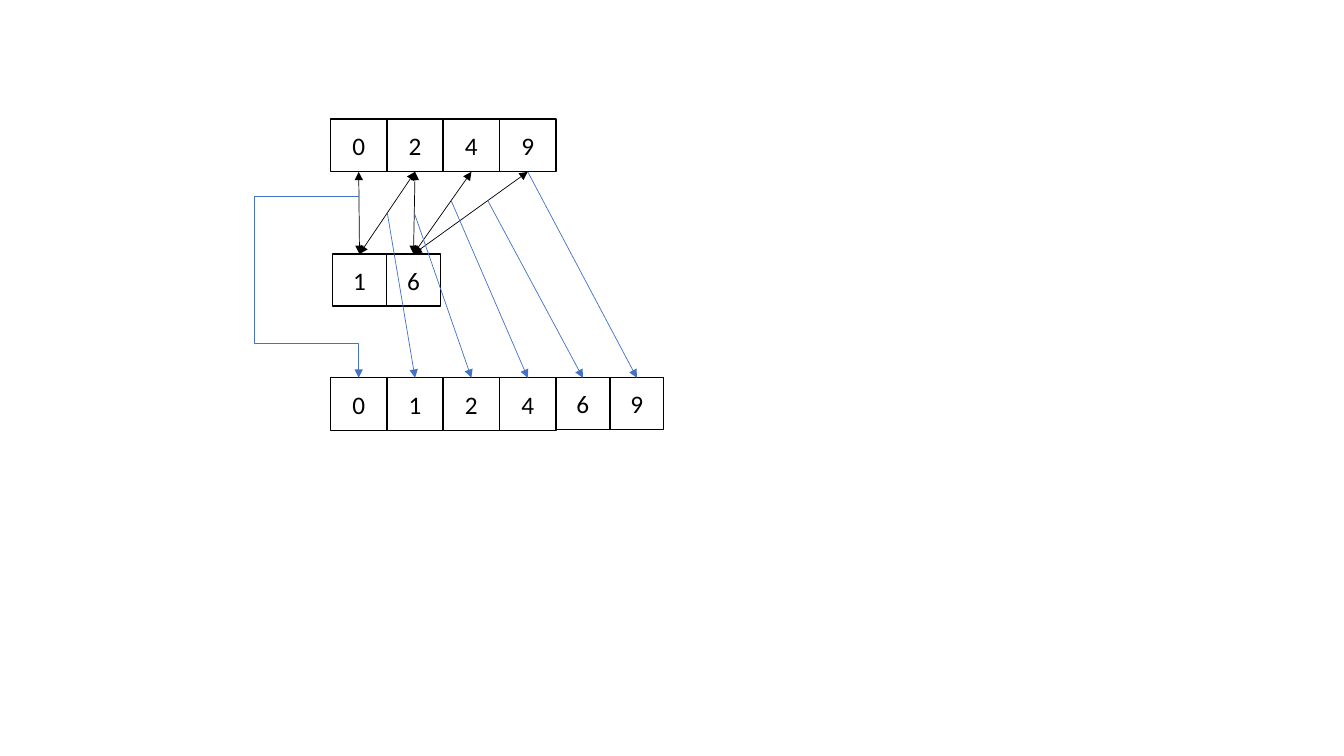
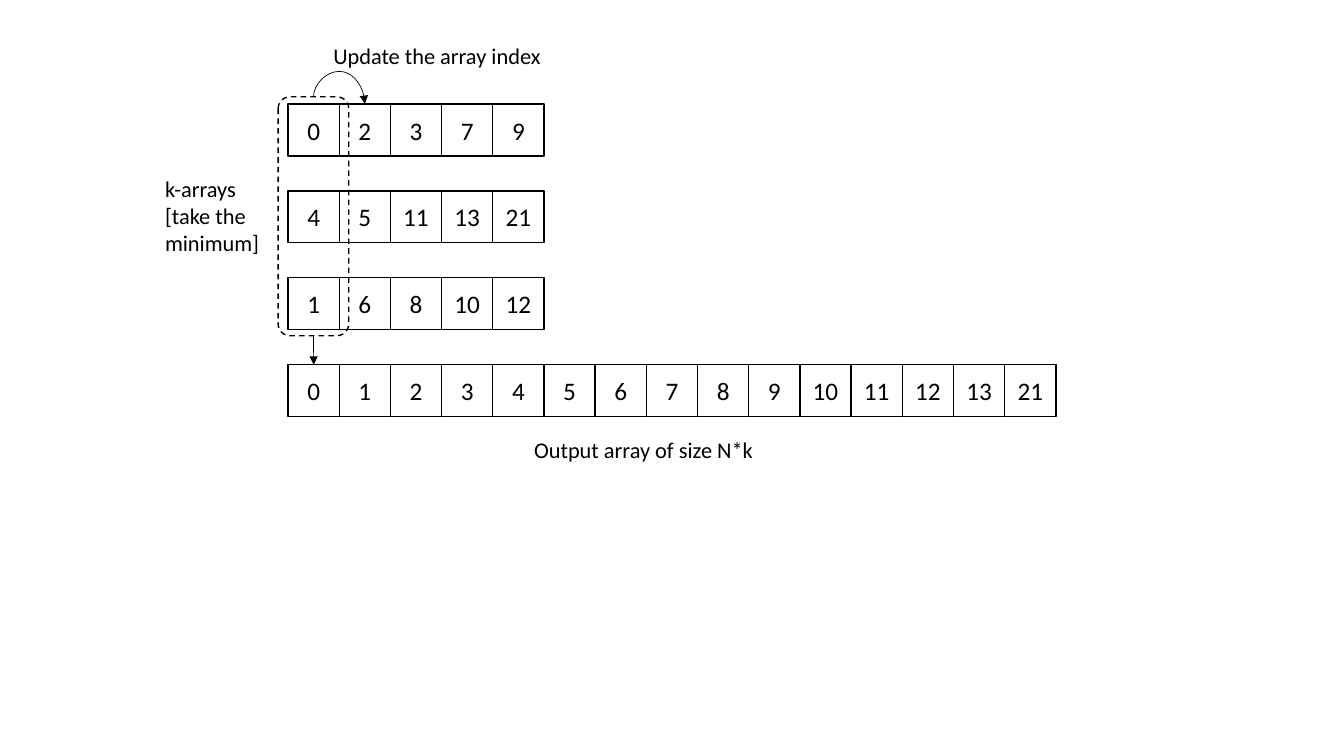
from pptx import Presentation
from pptx.dml.color import RGBColor
from pptx.enum.dml import MSO_LINE
from pptx.enum.shapes import MSO_CONNECTOR, MSO_SHAPE
from pptx.enum.text import MSO_ANCHOR, PP_ALIGN
from pptx.oxml.ns import qn
from pptx.util import Cm, Pt
from lxml.etree import SubElement

BLACK, WHITE, BLUE = "000000", "FFFFFF", "4472C4"
FONT = "Calibri"
TOP, BOTTOM = 0, 2

MERGE_ROWS = {
    "first": (8.33, 3.0, [("0 2 4 9", 1.42, 1.33)]),
    "second": (8.38, 6.4, [("1 6", 1.36, 1.31)]),
    "merged": (8.33, 9.52, [("0 1 2 4", 1.42, 1.33), ("6 9", 1.36, 1.31)]),
}
COMPARISONS = [
    (0, 0, 0.3),
    (1, 0, 0.5),
    (1, 1, 0.5),
    (2, 1, 0.35),
    (3, 1, 0.35),
]
DETOUR_X, DETOUR_DROP = 6.4, 3.71

K_ARRAYS = ["0 2 3 7 9", "4 5 11 13 21", "1 6 8 10 12"]
OUTPUT = "0 1 2 3 4 5 6 7 8 9 10 11 12 13 21"
K_LEFT, K_TOP, K_PITCH = 7.26, 2.62, 2.19
K_CELL = (1.29, 1.31)
MINIMUM_FRAME = (7.01, 2.44, 1.78, 6.02)
INDEX_RISE = 0.64
LABELS = [
    (["k-arrays", "[take the minimum]"], (3.91, 4.29, 3.07, 2.31)),
    (["Update the array index"], (8.15, 0.94, 5.92, 0.94)),
    (["Output array of size N*k"], (13.21, 10.87, 6.1, 0.97)),
]


def rgb(value):
    return RGBColor.from_string(value)


def write(paragraph, text, size):
    run = paragraph.add_run()
    run.text = text
    run.font.name = FONT
    run.font.size = Pt(size)
    run.font.color.rgb = rgb(BLACK)


def outlined(shapes, preset, box):
    shape = shapes.add_shape(preset, *map(Cm, box))
    shape.shadow.inherit = False
    shape.line.color.rgb = rgb(BLACK)
    shape.line.width = Pt(1)
    return shape


def add_row(slide, left, top, segments):
    group = slide.shapes.add_group_shape()
    cells = []
    for values, width, height in segments:
        for value in values.split():
            cell = outlined(group.shapes, MSO_SHAPE.RECTANGLE, (left, top, width, height))
            cell.fill.solid()
            cell.fill.fore_color.rgb = rgb(WHITE)
            cell.text_frame.vertical_anchor = MSO_ANCHOR.MIDDLE
            paragraph = cell.text_frame.paragraphs[0]
            paragraph.alignment = PP_ALIGN.CENTER
            write(paragraph, value, 18)
            cells.append(cell)
            left += width
    return cells


def add_label(slide, lines, box):
    frame = slide.shapes.add_textbox(*map(Cm, box)).text_frame
    frame.word_wrap = True
    for i, line in enumerate(lines):
        write(frame.add_paragraph() if i else frame.paragraphs[0], line, 16)


def add_line(slide, start, end, color, ends=("tailEnd",), kind=MSO_CONNECTOR.STRAIGHT):
    line = slide.shapes.add_connector(kind, *start, *end)
    line.line.color.rgb = rgb(color)
    line.line.width = Pt(0.5)
    properties = line._element.spPr
    for tag in ends:
        SubElement(properties.find(qn("a:ln")), qn("a:" + tag)).set("type", "triangle")
    SubElement(properties, qn("a:effectLst"))
    return line


def add_downward_turn(slide, start, end, color, kind, bend):
    line = add_line(slide, start, end, color, kind=kind)
    across, down = end[0] - start[0], end[1] - start[1]
    line.left = (start[0] + end[0] - down) // 2
    line.top = (start[1] + end[1] - across) // 2
    line.width, line.height = down, across
    properties = line._element.spPr
    frame = properties.find(qn("a:xfrm"))
    frame.set("rot", "16200000")
    frame.set("flipH", "1")
    geometry = properties.find(qn("a:prstGeom"))
    adjustments = geometry.find(qn("a:avLst"))
    if adjustments is None:
        adjustments = SubElement(geometry, qn("a:avLst"))
    guide = SubElement(adjustments, qn("a:gd"))
    guide.set("name", "adj1")
    guide.set("fmla", f"val {round(100000 * Cm(bend) / down)}")


def top_middle(shape):
    return shape.left + shape.width // 2, shape.top


def bottom_middle(shape):
    return shape.left + shape.width // 2, shape.top + shape.height


def point_between(start, end, share):
    return tuple(round(a + (b - a) * share) for a, b in zip(start, end))


def join(slide, upper, lower, color, ends=("tailEnd",)):
    line = add_line(slide, bottom_middle(upper), top_middle(lower), color, ends)
    line.begin_connect(upper, BOTTOM)
    line.end_connect(lower, TOP)


def build_two_way_merge(slide):
    rows = {name: add_row(slide, *row) for name, row in MERGE_ROWS.items()}
    merged = rows["merged"]
    departures = []
    for i, j, share in COMPARISONS:
        upper, lower = rows["first"][i], rows["second"][j]
        join(slide, upper, lower, BLACK, ("headEnd", "tailEnd"))
        departures.append(point_between(bottom_middle(upper), top_middle(lower), share))

    corner = (Cm(DETOUR_X), departures[0][1])
    add_line(slide, departures[0], corner, BLUE, ends=())
    add_downward_turn(slide, corner, top_middle(merged[0]), BLUE,
                      MSO_CONNECTOR.ELBOW, DETOUR_DROP)
    for departure, cell in zip(departures[1:], merged[1:]):
        line = add_line(slide, departure, top_middle(cell), BLUE)
        line.end_connect(cell, TOP)
    join(slide, rows["first"][-1], merged[-1], BLUE)


def build_k_way_merge(slide):
    arrays = [
        add_row(slide, K_LEFT, K_TOP + i * K_PITCH, [(values, *K_CELL)])
        for i, values in enumerate(K_ARRAYS + [OUTPUT])
    ]
    minimum = outlined(slide.shapes, MSO_SHAPE.ROUNDED_RECTANGLE, MINIMUM_FRAME)
    minimum.fill.background()
    minimum.line.dash_style = MSO_LINE.DASH
    join(slide, minimum, arrays[-1][0], BLACK)
    add_downward_turn(slide, top_middle(minimum), top_middle(arrays[0][1]), BLACK,
                      MSO_CONNECTOR.CURVE, -INDEX_RISE)
    for lines, box in LABELS:
        add_label(slide, lines, box)


def main():
    deck = Presentation()
    deck.slide_width, deck.slide_height = Cm(33.87), Cm(19.05)
    for build in (build_two_way_merge, build_k_way_merge):
        build(deck.slides.add_slide(deck.slide_layouts[6]))
    deck.save("out.pptx")


if __name__ == "__main__":
    main()
